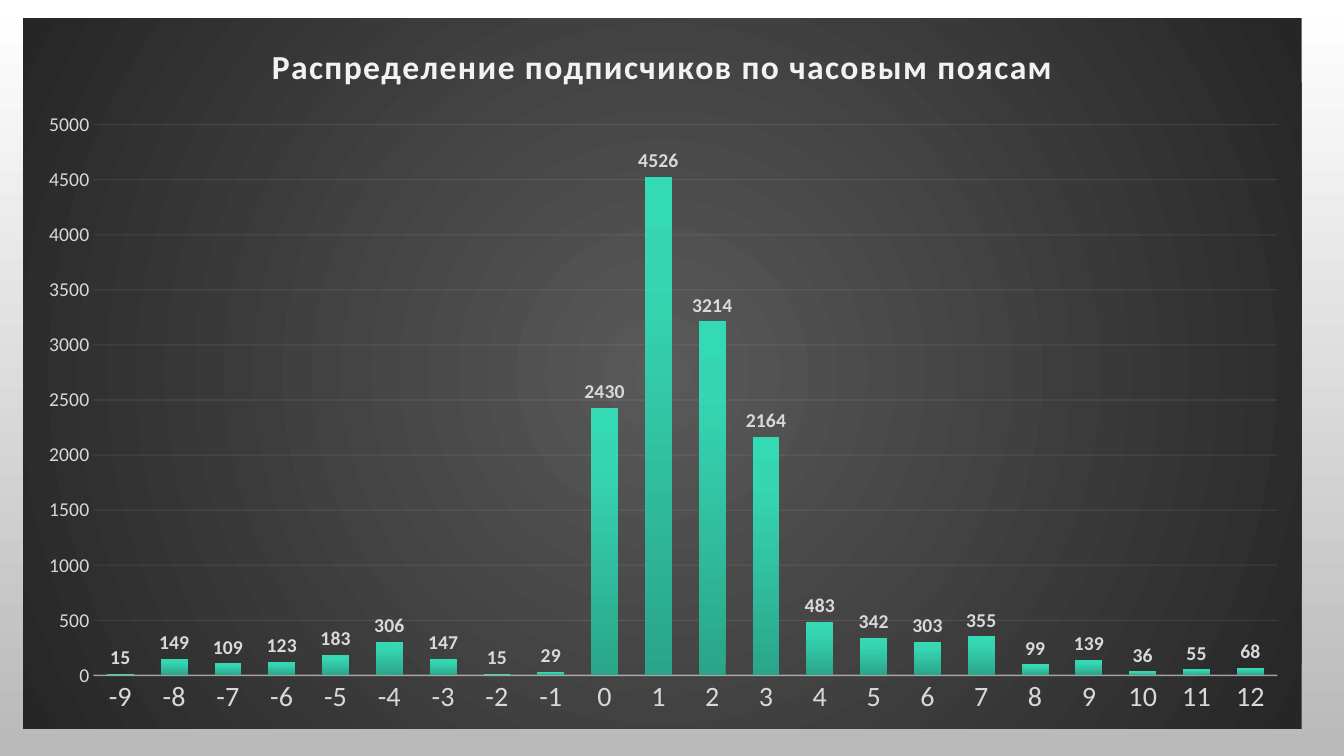
"""Build a slide with a column chart of subscribers by time zone."""
from lxml import etree
from pptx import Presentation
from pptx.chart.data import CategoryChartData
from pptx.dml.color import RGBColor
from pptx.enum.chart import XL_CHART_TYPE, XL_LABEL_POSITION, XL_TICK_MARK
from pptx.oxml import parse_xml
from pptx.oxml.ns import nsdecls, qn
from pptx.util import Inches, Pt

COLUMNS = XL_CHART_TYPE.COLUMN_CLUSTERED
OUTSIDE_END = XL_LABEL_POSITION.OUTSIDE_END
NO_TICK = XL_TICK_MARK.NONE

THEME = {
    "font": "Calibri",
    "pale": "F2F2F2",
    "label": "D9D9D9",
    "page": [(0, "FFFFFF"), (100, "B9B9B9")],
    "panel": [(0, "595959"), (100, "262626")],
    "column": [(0, "2AA589"), (80, "36D6B2"), (100, "33DAB4")],
    "title_size": 24,
    "hour_size": 20,
    "value_size": 14,
}
DOWNWARD = '<a:lin ang="5400000" scaled="0"/>'
UPWARD = '<a:lin ang="16200000" scaled="0"/>'
RADIAL = '<a:path path="circle"><a:fillToRect l="50000" t="50000" r="50000" b="50000"/></a:path>'

FIRST_HOUR = -9
SUBSCRIBERS = [15, 149, 109, 123, 183, 306, 147, 15, 29, 2430, 4526,
               3214, 2164, 483, 342, 303, 355, 99, 139, 36, 55, 68]


def gradient(stops, direction):
    """Return a gradient fill element."""
    marks = "".join(
        f'<a:gs pos="{position * 1000}"><a:srgbClr val="{color}"/></a:gs>'
        for position, color in stops
    )
    return parse_xml(
        f'<a:gradFill {nsdecls("a")} rotWithShape="1">'
        f"<a:gsLst>{marks}</a:gsLst>{direction}</a:gradFill>"
    )


def style_font(font, size, color, bold=False):
    """Set the typeface, size, colour and weight of a font."""
    for name, value in {"name": THEME["font"], "size": Pt(size), "bold": bold}.items():
        setattr(font, name, value)
    font.color.rgb = RGBColor.from_string(color)


deck = Presentation()
deck.slide_width, deck.slide_height = Inches(13.33), Inches(7.5)
page = deck.slides.add_slide(deck.slide_layouts[6])
page.background.fill.solid()
backdrop = page.element.find(".//" + qn("p:bgPr"))
backdrop.replace(backdrop.find(qn("a:solidFill")), gradient(THEME["page"], DOWNWARD))

data = CategoryChartData()
data.categories = [str(FIRST_HOUR + step) for step in range(len(SUBSCRIBERS))]
data.add_series("Series 1", SUBSCRIBERS)
chart = page.shapes.add_chart(
    COLUMNS, Inches(0.23), Inches(0.18), Inches(12.68), Inches(7.05), data
).chart
chart.has_legend = False
style_font(chart.font, THEME["value_size"], THEME["label"])

panel = parse_xml(f'<c:spPr {nsdecls("c", "a")}><a:ln><a:noFill/></a:ln></c:spPr>')
panel.insert(0, gradient(THEME["panel"], RADIAL))
chart.element.find(qn("c:chart")).addnext(panel)

chart.has_title = True
title = chart.chart_title
title.include_in_layout = False
para = title.text_frame.paragraphs[0]
span = para.add_run()
span.text = "Распределение подписчиков по часовым поясам"
style_font(span.font, THEME["title_size"], THEME["pale"], True)
span.font._element.set("spc", "100")

plot_area = chart.element.find(".//" + qn("c:plotArea"))
for old_layout in plot_area.findall(qn("c:layout")):
    plot_area.remove(old_layout)
frame = {"layoutTarget": "inner", "xMode": "edge", "yMode": "edge",
         "x": 0.055, "y": 0.15, "w": 0.926, "h": 0.775}
settings = "".join(f'<c:{name} val="{value}"/>' for name, value in frame.items())
plot_area.insert(0, parse_xml(
    f'<c:layout {nsdecls("c")}><c:manualLayout>{settings}</c:manualLayout></c:layout>'
))

plot = chart.plots[0]
for name, value in {"gap_width": 100, "overlap": -24, "vary_by_categories": False,
                    "has_data_labels": True}.items():
    setattr(plot, name, value)
labels = plot.data_labels
labels.show_value = True
labels.position = OUTSIDE_END
style_font(labels.font, THEME["value_size"], THEME["label"], True)

columns = plot.series[0]
columns.format.fill.solid()
column_style = columns.format.fill._xPr
column_style.replace(column_style.find(qn("a:solidFill")), gradient(THEME["column"], UPWARD))

hours, counts = chart.category_axis, chart.value_axis
for axis, size in ((hours, THEME["hour_size"]), (counts, THEME["value_size"])):
    axis.major_tick_mark = axis.minor_tick_mark = NO_TICK
    style_font(axis.tick_labels.font, size, THEME["label"])
for name, value in {"minimum_scale": 0, "maximum_scale": 5000, "major_unit": 500,
                    "has_major_gridlines": True}.items():
    setattr(counts, name, value)
counts.format.line.fill.background()

for line, width, opacity in ((hours.format.line, 1, 54),
                             (counts.major_gridlines.format.line, 0.75, 10)):
    line.width = Pt(width)
    line.color.rgb = RGBColor.from_string(THEME["pale"])
    color = line.fill._xPr.find(".//" + qn("a:srgbClr"))
    etree.SubElement(color, qn("a:alpha")).set("val", str(opacity * 1000))

deck.save("out.pptx")
